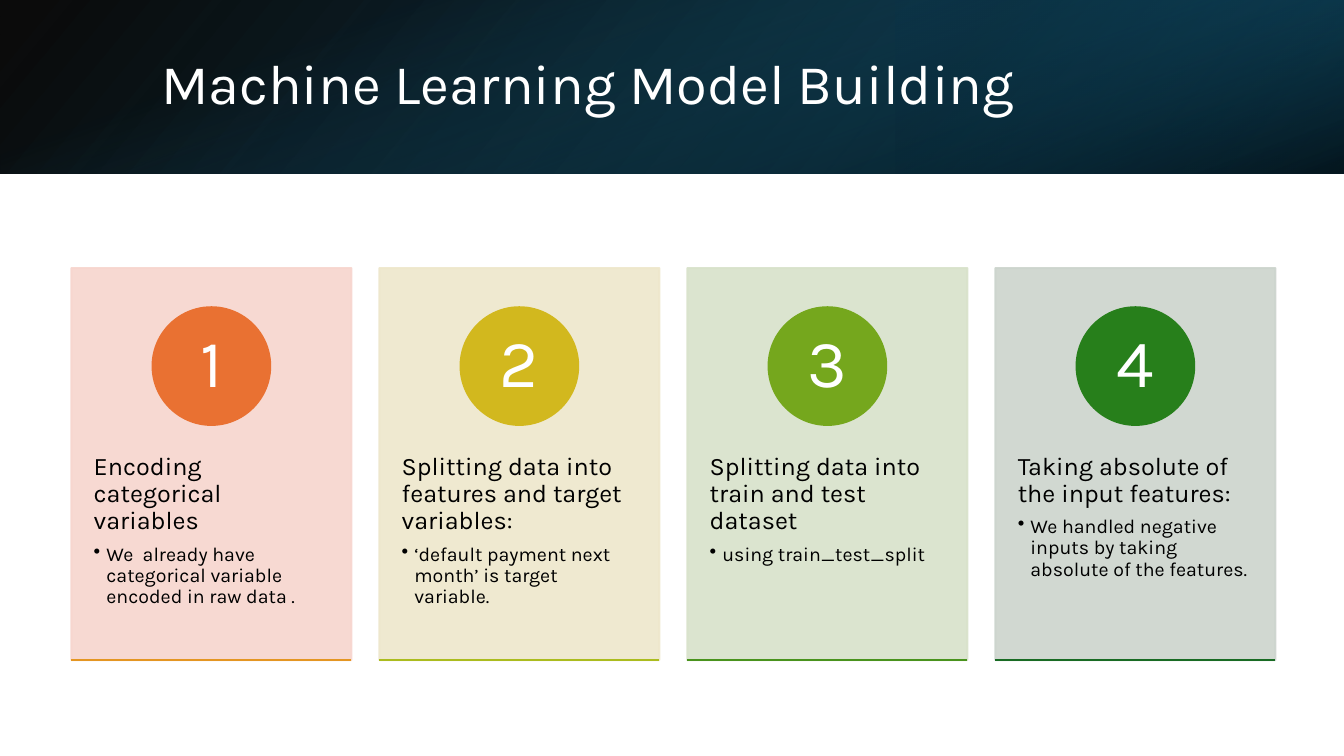
"""Build the slide on machine learning model building: a gradient banner above four numbered cards."""
import lxml.etree
import pptx
import pptx.dml.color
import pptx.enum.shapes
import pptx.enum.text
import pptx.oxml
import pptx.oxml.ns
import pptx.util

Pt = pptx.util.Pt
RGBColor = pptx.dml.color.RGBColor
Shapes = pptx.enum.shapes.MSO_SHAPE
Anchor = pptx.enum.text.MSO_ANCHOR
Align = pptx.enum.text.PP_ALIGN
qn = pptx.oxml.ns.qn

COLORS = {"white": "FFFFFF", "black": "000000", "blue": "104862",
          "navy": "0B3041", "teal": "156082"}
FONT = "Karla"
BANNER_HEIGHT = 124
CARD_LEFT, CARD_TOP, CARD_WIDTH, CARD_HEIGHT, CARD_STEP = 51, 191.5, 200, 280, 220
CIRCLE_SIZE = 84

presentation = pptx.Presentation()
presentation.slide_width, presentation.slide_height = Pt(960), Pt(540)
slide = presentation.slides.add_slide(presentation.slide_layouts[6])


def add_shape(kind, left, top, width, height, color=None):
    """Add a shadowless shape, with fill and outline in one color if given."""
    shape = slide.shapes.add_shape(kind, Pt(left), Pt(top), Pt(width), Pt(height))
    shape.shadow.inherit = False
    if color:
        shape.fill.solid()
        shape.fill.fore_color.rgb = RGBColor.from_string(color)
        shape.line.color.rgb = RGBColor.from_string(color)
        shape.line.width = Pt(1.5)
    else:
        shape.line.fill.background()
    return shape


def write_text(shape, entries, insets, anchor):
    """Write (text, size, color, paragraph format) entries into a shape."""
    frame = shape.text_frame
    frame.word_wrap = True
    frame.vertical_anchor = anchor
    horizontal, vertical = insets
    frame.margin_left = frame.margin_right = Pt(horizontal)
    frame.margin_top = frame.margin_bottom = Pt(vertical)
    for index, (text, size, color, settings) in enumerate(entries):
        paragraph = frame.add_paragraph() if index else frame.paragraphs[0]
        for name, value in {"line_spacing": 0.9, "alignment": Align.LEFT, **settings}.items():
            setattr(paragraph, name, value)
        run = paragraph.add_run()
        run.text = text
        run.font.name, run.font.size = FONT, Pt(size)
        run.font.color.rgb = RGBColor.from_string(color)


banner_layers = [
    (0, 0, 960, BANNER_HEIGHT, 0, True, 140,
     [(0, "black", 96), (100, "blue", 100)]),
    (640, 0, 320, BANNER_HEIGHT, 180, True, 320,
     [(19, "navy", 68), (100, "teal", 79)]),
    (418, -418, BANNER_HEIGHT, 960, 90, False, 340,
     [(23, "teal", 0), (99, "black", 74)]),
]
for left, top, width, height, rotation, flipped, angle, stops in banner_layers:
    layer = add_shape(Shapes.RECTANGLE, left, top, width, height)
    layer.rotation = rotation
    properties = layer.element.spPr
    if flipped:
        properties.find(qn("a:xfrm")).set("flipH", "1")
    stop_xml = "".join(
        f'<a:gs pos="{position * 1000}"><a:srgbClr val="{COLORS[color]}">'
        f'<a:alpha val="{opacity * 1000}"/></a:srgbClr></a:gs>'
        for position, color, opacity in stops)
    gradient = pptx.oxml.parse_xml(
        f'<a:gradFill {pptx.oxml.ns.nsdecls("a")} rotWithShape="1"><a:gsLst>{stop_xml}</a:gsLst>'
        f'<a:lin ang="{angle * 60000}" scaled="0"/></a:gradFill>')
    properties.find(qn("a:prstGeom")).addnext(gradient)

title = slide.shapes.add_textbox(Pt(108), Pt(27.5), Pt(790.5), Pt(69))
write_text(title, [("Machine Learning Model Building", 40, COLORS["white"], {})],
           (7.2, 3.6), Anchor.MIDDLE)

cards = [
    ("Encoding categorical variables",
     "We  already have categorical variable encoded in raw data .",
     "F7D5CE", "E97132", "E49622"),
    ("Splitting data into features and target variables:",
     "‘default payment next month’ is target variable.",
     "EEE7CB", "D2B81E", "ABBC1E"),
    ("Splitting data into train and test dataset",
     "using train_test_split",
     "D8E2CA", "75A71D", "49931D"),
    ("Taking absolute of the input features:",
     "We handled negative inputs by taking absolute of the features.",
     "CCD4CD", "277F1B", "196B24"),
]
for index, (heading, detail, card_color, circle_color, rule_color) in enumerate(cards):
    left = CARD_LEFT + index * CARD_STEP
    bottom = CARD_TOP + CARD_HEIGHT

    card = add_shape(Shapes.RECTANGLE, left, CARD_TOP, CARD_WIDTH, CARD_HEIGHT, card_color)
    for color_element in card.element.spPr.iter(qn("a:srgbClr")):
        lxml.etree.SubElement(color_element, qn("a:alpha")).set("val", "90000")

    body = slide.shapes.add_textbox(Pt(left), Pt(298), Pt(CARD_WIDTH), Pt(168))
    write_text(body, [(heading, 18, COLORS["black"], {"space_after": Pt(6.3)}),
                      (detail, 14, COLORS["black"], {"level": 1, "space_after": Pt(2.1)})],
               (16, 26), Anchor.TOP)
    bullet_format = body.text_frame.paragraphs[1]._p.get_or_add_pPr()
    bullet_format.set("marL", str(Pt(9)))
    bullet_format.set("indent", str(-Pt(9)))
    lxml.etree.SubElement(bullet_format, qn("a:buChar")).set("char", "•")

    circle = add_shape(Shapes.OVAL, left + (CARD_WIDTH - CIRCLE_SIZE) / 2, 219.5,
                       CIRCLE_SIZE, CIRCLE_SIZE, circle_color)
    write_text(circle, [(str(index + 1), 48, COLORS["white"], {"alignment": Align.CENTER})],
               (6.5, 0.7), Anchor.MIDDLE)

    rule = slide.shapes.add_connector(pptx.enum.shapes.MSO_CONNECTOR.STRAIGHT,
                                      Pt(left), Pt(bottom), Pt(left + CARD_WIDTH), Pt(bottom))
    rule.line.color.rgb = RGBColor.from_string(rule_color)
    rule.line.width = Pt(1.5)
    lxml.etree.SubElement(rule.element.spPr, qn("a:effectLst"))

presentation.save("out.pptx")
